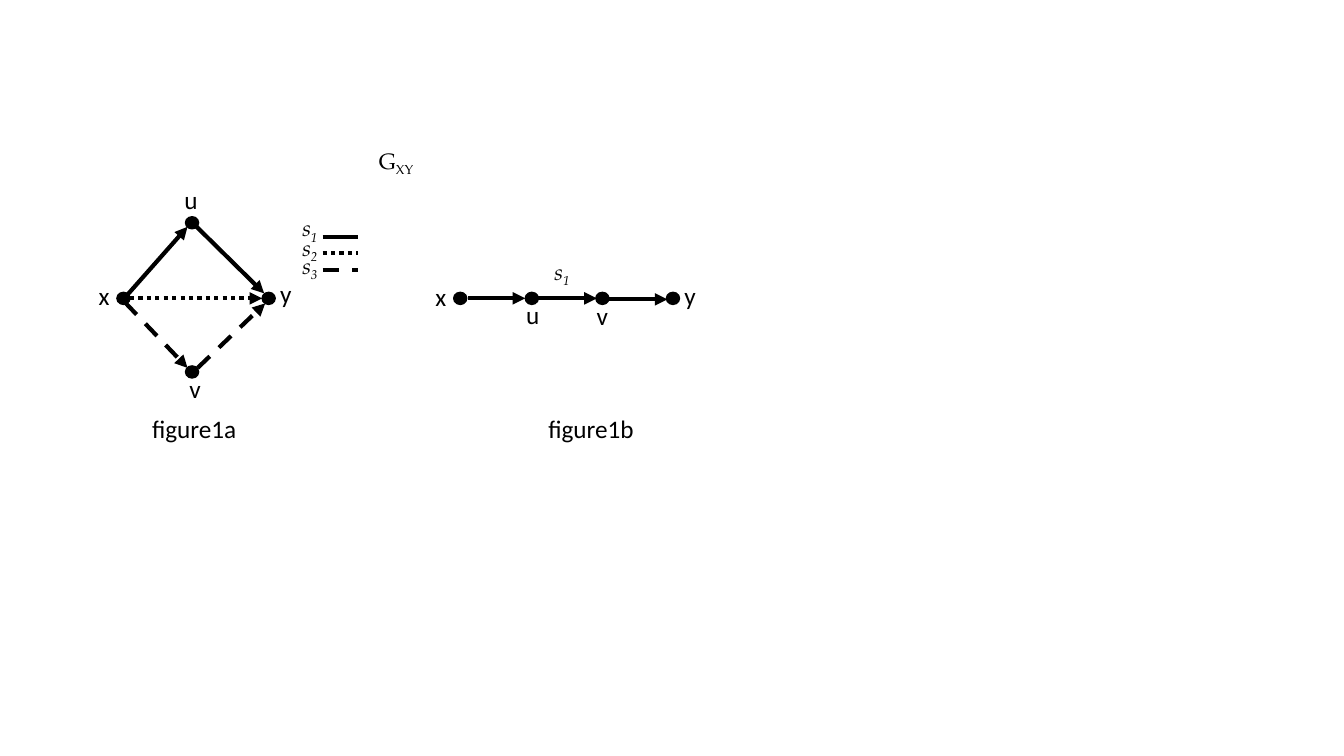
from dataclasses import dataclass

from pptx import Presentation
from pptx import util as u
from pptx.dml.color import RGBColor
from pptx.enum import dml, shapes, text
from pptx.oxml import ns
from lxml import etree

SCALE = 9144


@dataclass(frozen=True)
class Theme:
    ink: RGBColor = RGBColor(0, 0, 0)
    label_font: str = "Calibri"
    math_font: str = "TeX Gyre Pagella"
    label_size: float = 18
    math_size: float = 15.9
    edge_width: float = 3
    node_width: float = 1


THEME = Theme()
SOLID = dml.MSO_LINE.SOLID
DOTTED = dml.MSO_LINE.ROUND_DOT
DASHED = dml.MSO_LINE.DASH
NODE_SIZE = (13, 12)


def px(*lengths):
    return [u.Emu(length * SCALE) for length in lengths]


def add_edge(page, start, end, dash=SOLID, arrow=True):
    edge = page.shapes.add_connector(
        shapes.MSO_CONNECTOR.STRAIGHT, *px(*start, *end))
    edge.line.color.rgb = THEME.ink
    edge.line.width = u.Pt(THEME.edge_width)
    edge.line.dash_style = dash
    properties = edge._element.spPr
    if arrow:
        outline = properties.find(ns.qn("a:ln"))
        etree.SubElement(outline, ns.qn("a:tailEnd"), type="triangle")
    etree.SubElement(properties, ns.qn("a:effectLst"))


def add_node(page, left, top):
    node = page.shapes.add_shape(
        shapes.MSO_SHAPE.OVAL, *px(left, top, *NODE_SIZE))
    node.shadow.inherit = False
    node.fill.solid()
    node.fill.fore_color.rgb = THEME.ink
    node.line.color.rgb = THEME.ink
    node.line.width = u.Pt(THEME.node_width)


def add_text_box(page, left, top, width, height, wrap):
    box = page.shapes.add_textbox(*px(left, top, width, height))
    box.text_frame.word_wrap = wrap
    box.text_frame.auto_size = text.MSO_AUTO_SIZE.SHAPE_TO_FIT_TEXT
    return box.text_frame.paragraphs[0]


def style_span(span, font, size, italic=False):
    span.font.name = font
    span.font.size = u.Pt(size)
    span.font.italic = italic
    span.font.color.rgb = THEME.ink


def add_label(page, words, left, top, width=25):
    para = add_text_box(page, left, top, width, 40, True)
    para.text = words
    style_span(para.runs[0], THEME.label_font, THEME.label_size)


def add_symbol(page, letter, subscript, left, top, width=36, italic=True):
    para = add_text_box(page, left, top, width, 37, False)
    for words in (letter, subscript):
        span = para.add_run()
        span.text = words
        style_span(span, THEME.math_font, THEME.math_size, italic)
    span._r.get_or_add_rPr().set("baseline", "-25000")


def add_diamond(page):
    add_edge(page, (125, 294), (186, 225))
    add_edge(page, (193, 223), (262, 291))
    add_edge(page, (129, 296), (260, 296), DOTTED)
    add_edge(page, (196, 365), (263, 301), DASHED)
    add_edge(page, (124, 300), (186, 365), DASHED)
    for left, top in ((116, 290), (184, 215), (184, 363), (260, 290)):
        add_node(page, left, top)
    add_label(page, "x", 88, 273)
    add_label(page, "y", 268, 271, 29)
    add_label(page, "u", 173, 178)
    add_label(page, "v", 178, 365)
    add_label(page, "figure1a", 141, 405, 106)


def add_legend(page):
    add_symbol(page, "G", "XY", 366, 141, 57, italic=False)
    rows = ((208, 235, SOLID), (227, 251, DOTTED), (245, 268, DASHED))
    for number, (top, line_y, dash) in enumerate(rows, 1):
        add_symbol(page, "s", str(number), 290, top)
        add_edge(page, (320, line_y), (355, line_y), dash, arrow=False)


def add_chain(page):
    for start, end, y in ((464, 521, 296), (534, 592, 296), (604, 662, 297)):
        add_edge(page, (start, y), (end, y))
    for left in (450, 521, 591, 661):
        add_node(page, left, 290)
    add_symbol(page, "s", "1", 540, 251)
    add_label(page, "x", 422, 274)
    add_label(page, "u", 512, 292)
    add_label(page, "v", 582, 293)
    add_label(page, "y", 669, 273, 29)
    add_label(page, "figure1b", 534, 405, 106)


def main():
    deck = Presentation()
    deck.slide_width, deck.slide_height = px(1333, 750)
    page = deck.slides.add_slide(deck.slide_layouts[6])
    add_diamond(page)
    add_legend(page)
    add_chain(page)
    deck.save("out.pptx")


if __name__ == "__main__":
    main()
